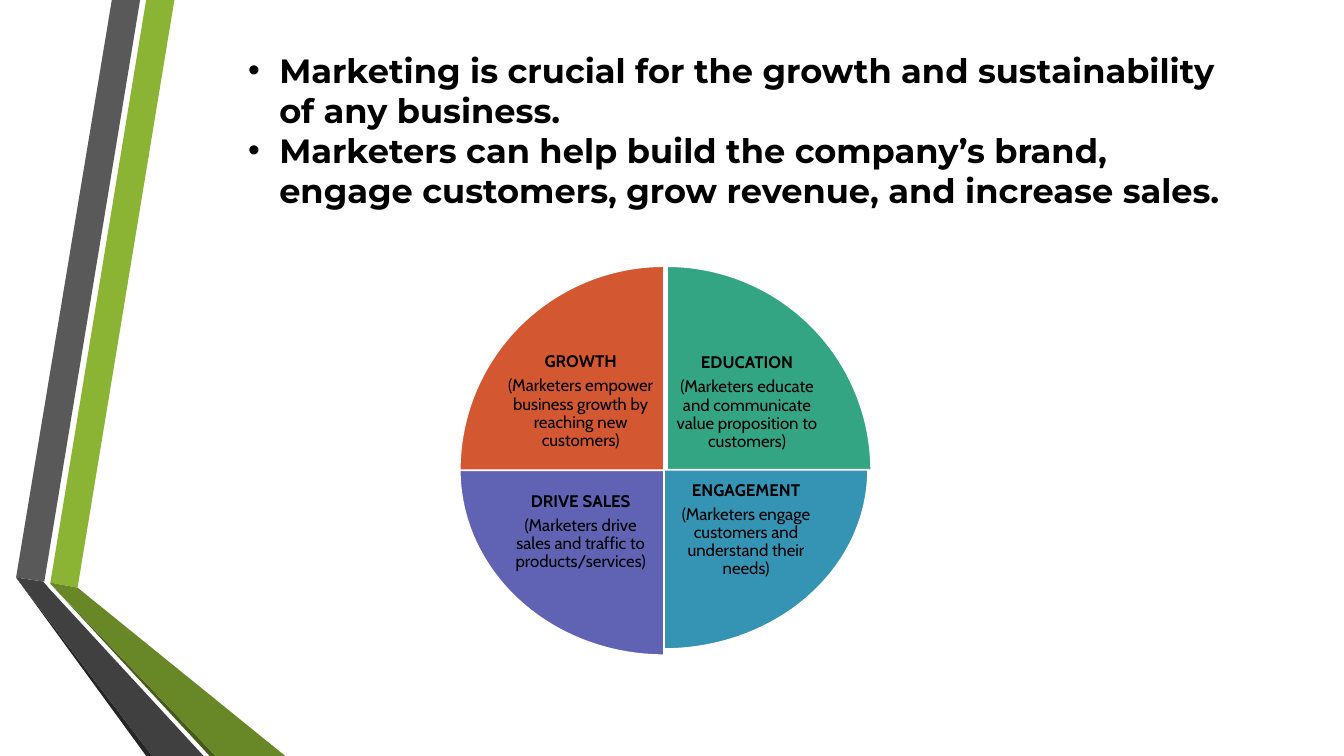
from pptx import Presentation
from pptx.dml.color import RGBColor
from pptx.enum.shapes import MSO_SHAPE
from pptx.enum.text import MSO_ANCHOR, MSO_AUTO_SIZE, PP_ALIGN
from pptx.util import Pt

PX = 9144  # 100 px to the inch
COLORS = {
    "white": "FFFFFF", "black": "000000",
    "lime": "8BB434", "olive": "688727", "moss": "465A1A",
    "grey": "595959", "charcoal": "404040", "soot": "262626",
    "education": "33A583", "engagement": "3594B4",
    "sales": "6063B4", "growth": "D35731",
}

# Ribbon outlines, relative to the top left of their box
RIBBON_FACETS = [
    ("lime", [(34, 578), (61, 583), (157, 0), (129, 0)]),
    ("grey", [(123, 0), (95, 0), (0, 573), (28, 577)]),
    ("soot", [(0, 573), (129, 750), (135, 750)]),
    ("moss", [(34, 579), (192, 750), (198, 750)]),
    ("olive", [(34, 579), (198, 750), (267, 750), (61, 583), (34, 578)]),
    ("charcoal", [(186, 750), (32, 583), (27, 577), (0, 573), (135, 750)]),
]

KEY_POINTS = [
    "Marketing is crucial for the growth and sustainability of any business.",
    "Marketers can help build the company’s brand, engage customers, "
    "grow revenue, and increase sales.",
]

# Colour, start angle, pie box, label box (relative to the wheel), heading, detail
SECTORS = [
    ("education", 270, (3, 0, 405, 405), (210, 75, 150, 121), "EDUCATION",
     "(Marketers educate and communicate value proposition to customers)"),
    ("engagement", 0, (0, 24, 405, 356), (209, 209, 150, 106), "ENGAGEMENT",
     "(Marketers engage customers and understand their needs)"),
    ("sales", 90, (0, 18, 405, 368), (45, 209, 150, 110), "DRIVE SALES",
     "(Marketers drive sales and traffic to products/services)"),
    ("growth", 180, (0, 0, 405, 405), (45, 74, 150, 121), "GROWTH",
     "(Marketers empower business growth by reaching new customers)"),
]


def rgb(name):
    return RGBColor.from_string(COLORS[name])


def to_emu(box, left=0, top=0):
    x, y, width, height = box
    return [n * PX for n in (left + x, top + y, width, height)]


def paint(shape, color):
    shape.shadow.inherit = False
    shape.fill.solid()
    shape.fill.fore_color.rgb = rgb(color)


def format_runs(paragraph, font, size, bold):
    for run in paragraph.runs:
        run.font.name = font
        run.font.size = Pt(size)
        run.font.bold = bold
        run.font.color.rgb = rgb("black")


def add_ribbon(slide, left, top):
    """Folded ribbon down the left edge."""
    for color, outline in RIBBON_FACETS:
        points = [(left + x, top + y) for x, y in outline]
        builder = slide.shapes.build_freeform(*points[0], scale=PX)
        builder.add_line_segments(points[1:], close=True)
        facet = builder.convert_to_shape()
        paint(facet, color)
        facet.line.fill.background()


def fill_key_points(body, box):
    """Bulleted list in the body placeholder."""
    body.left, body.top, body.width, body.height = to_emu(box)
    frame = body.text_frame
    frame.text = "\n".join(KEY_POINTS)
    frame.word_wrap = True
    frame.auto_size = MSO_AUTO_SIZE.NONE
    frame.vertical_anchor = MSO_ANCHOR.TOP
    for point in frame.paragraphs:
        properties = point._p.get_or_add_pPr()
        properties.set("marL", str(31 * PX))
        properties.set("indent", str(-31 * PX))
        point.space_before = Pt(0)
        format_runs(point, "Montserrat", 24, True)


def add_label(slide, box, heading, detail):
    """Bold heading over its explanation."""
    frame = slide.shapes.add_textbox(*box).text_frame
    frame.word_wrap = True
    frame.vertical_anchor = MSO_ANCHOR.MIDDLE
    frame.margin_left = frame.margin_right = 2 * PX
    frame.margin_top = frame.margin_bottom = 2 * PX
    frame.text = f"{heading}\n{detail}"
    for paragraph, bold in zip(frame.paragraphs, (True, False)):
        paragraph.alignment = PP_ALIGN.CENTER
        paragraph.line_spacing = 0.9
        paragraph.space_after = Pt(4.2)
        format_runs(paragraph, "Cabin", 12, bold)


def add_wheel(slide, left, top):
    """Four quarter sectors, each with a label."""
    for color, start, pie_box, label_box, heading, detail in SECTORS:
        sector = slide.shapes.add_shape(MSO_SHAPE.PIE, *to_emu(pie_box, left, top))
        # Pie angles count 60000 to the degree, adjustments are in units of 100000
        sector.adjustments[0] = start * 0.6
        sector.adjustments[1] = (start + 90) % 360 * 0.6
        paint(sector, color)
        sector.line.color.rgb = rgb("white")
        sector.line.width = Pt(1.25)
        add_label(slide, to_emu(label_box, left, top), heading, detail)


def main():
    deck = Presentation()
    deck.slide_width, deck.slide_height = 1333 * PX, 750 * PX
    slide = deck.slides.add_slide(deck.slide_layouts[1])
    slide.background.fill.solid()
    slide.background.fill.fore_color.rgb = rgb("white")
    title = slide.shapes.title._element
    title.getparent().remove(title)

    add_ribbon(slide, 16, 0)
    fill_key_points(slide.placeholders[1], (236, 44, 1006, 212))
    add_wheel(slide, 456, 264)
    deck.save("out.pptx")


if __name__ == "__main__":
    main()
